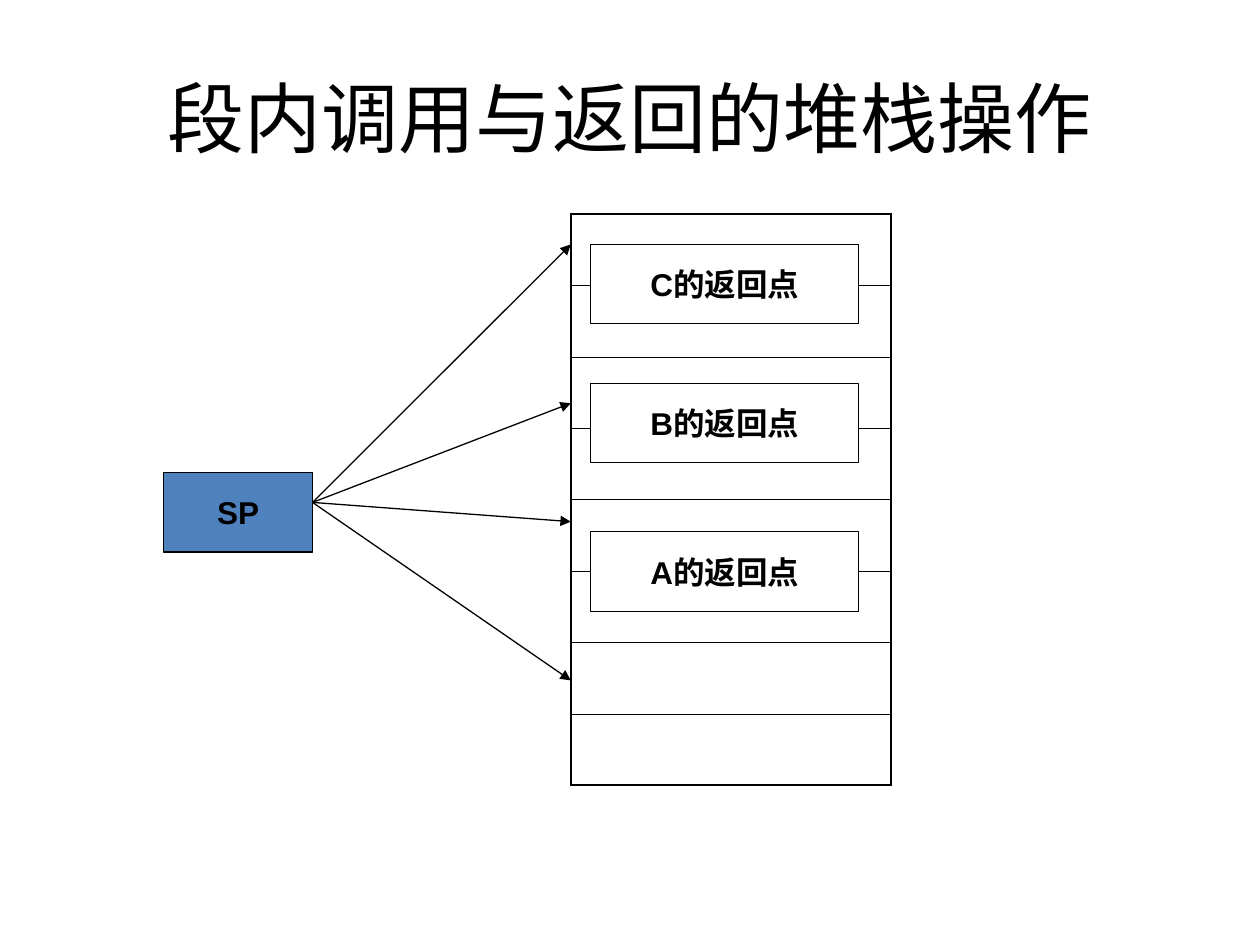
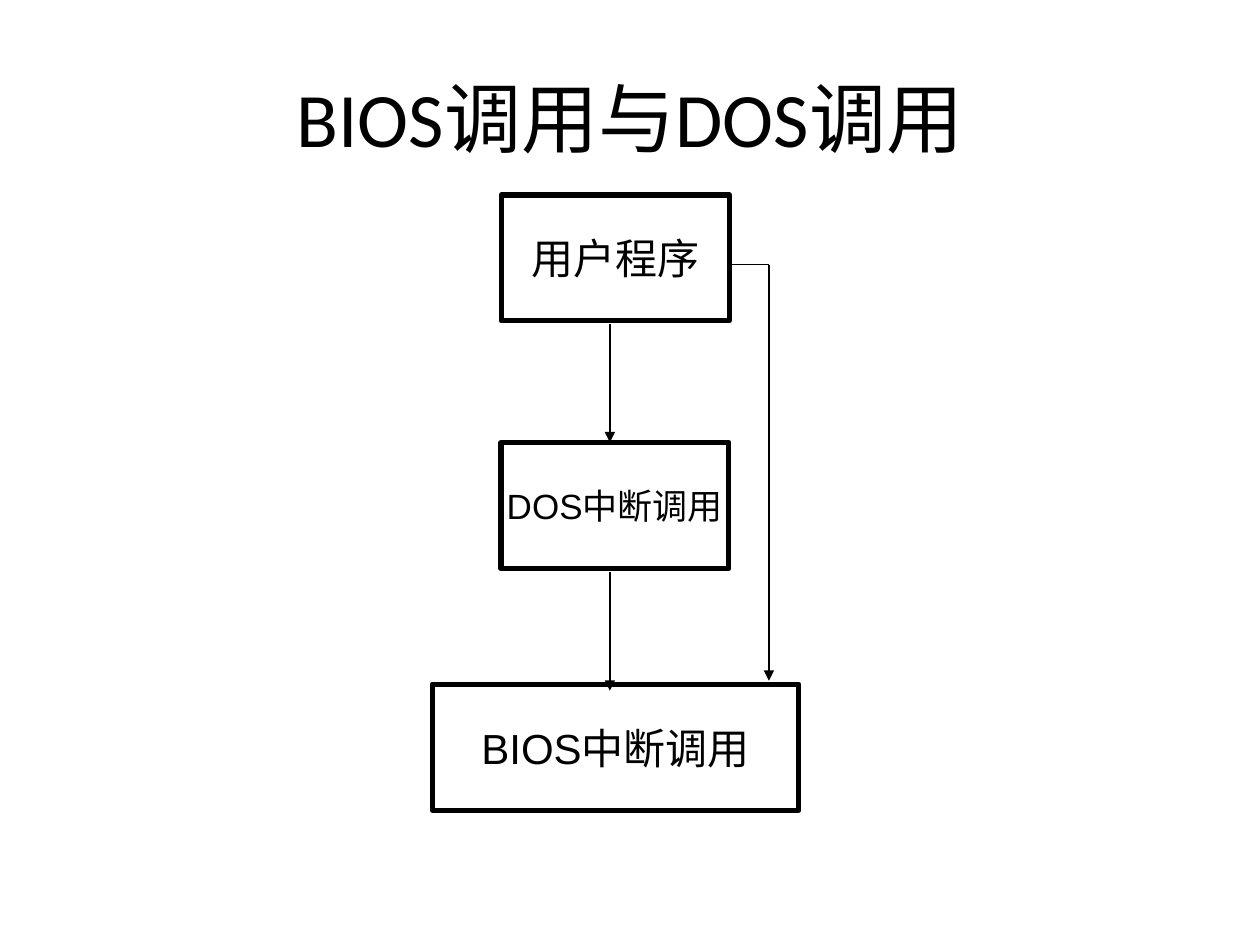
from lxml.etree import SubElement
from pptx import Presentation
from pptx.dml.color import RGBColor
from pptx.enum.shapes import MSO_CONNECTOR, MSO_SHAPE
from pptx.enum.text import MSO_ANCHOR, PP_ALIGN
from pptx.oxml import parse_xml
from pptx.oxml.ns import nsdecls, qn
from pptx.util import Pt

COLORS = {"ink": "000000", "paper": "FFFFFF", "pointer": "4F81BD"}
INK = RGBColor.from_string(COLORS["ink"])
THIN, THICK = 0.74, 3


def add_box(slide, label, left, top, width, height, size, fill=None, line=THIN, bold=False):
    box = slide.shapes.add_shape(MSO_SHAPE.RECTANGLE, Pt(left), Pt(top), Pt(width), Pt(height))
    box.shadow.inherit = False
    if fill:
        box.fill.solid()
        box.fill.fore_color.rgb = RGBColor.from_string(COLORS[fill])
    else:
        box.fill.background()
    box.line.color.rgb = INK
    box.line.width = Pt(line)
    frame = box.text_frame
    frame.word_wrap = False
    frame.vertical_anchor = MSO_ANCHOR.MIDDLE
    frame.text = label
    paragraph = frame.paragraphs[0]
    paragraph.alignment = PP_ALIGN.CENTER
    font = paragraph.runs[0].font
    font.name, font.size, font.bold = "Arial", Pt(size), bold
    font.color.rgb = INK


def add_line(slide, start, end, arrow=True):
    points = [Pt(value) for value in (*start, *end)]
    connector = slide.shapes.add_connector(MSO_CONNECTOR.STRAIGHT, *points)
    connector.line.color.rgb = INK
    connector.line.width = Pt(THIN)
    if arrow:
        SubElement(connector.line._get_or_add_ln(), qn("a:tailEnd"), type="triangle")
    SubElement(connector._element.spPr, qn("a:effectLst"))


deck = Presentation()
deck.slide_width, deck.slide_height = Pt(720), Pt(540)

slides = []
for heading in ("段内调用与返回的堆栈操作", "BIOS调用与DOS调用"):
    slide = deck.slides.add_slide(deck.slide_layouts[5])
    title = slide.shapes.title
    title.left, title.top, title.width, title.height = Pt(36), Pt(21.6), Pt(648), Pt(90)
    title.text_frame.text = heading
    title.text_frame.vertical_anchor = MSO_ANCHOR.MIDDLE
    paragraph = title.text_frame.paragraphs[0]
    paragraph.alignment = PP_ALIGN.CENTER
    font = paragraph.runs[0].font
    font.name, font.size = "Calibri", Pt(44)
    font.color.rgb = INK
    slides.append(slide)
stack_slide, call_slide = slides

add_box(stack_slide, "SP", 93.6, 270, 85, 45.4, 18, fill="pointer", bold=True)

STACK_LEFT, STACK_TOP, STACK_WIDTH = 326.2, 122.4, 183
ROWS, ROW_HEIGHT = 8, 40.8
stack = stack_slide.shapes.add_table(
    ROWS, 1, Pt(STACK_LEFT), Pt(STACK_TOP), Pt(STACK_WIDTH), Pt(ROWS * ROW_HEIGHT)).table
stack.first_row = stack.horz_banding = False
for index, row in enumerate(stack.rows):
    row.height = Pt(ROW_HEIGHT)
    cell = row.cells[0]
    cell.fill.background()
    borders = {"lnL": 1.08, "lnR": 1.08,
               "lnT": 1.08 if index == 0 else 0.45,
               "lnB": 1.08 if index == ROWS - 1 else 0.45}
    for position, (side, width) in enumerate(borders.items()):
        cell._tc.get_or_add_tcPr().insert(position, parse_xml(
            f'<a:{side} {nsdecls("a")} w="{Pt(width)}"><a:solidFill>'
            f'<a:srgbClr val="{COLORS["ink"]}"/></a:solidFill></a:{side}>'))

for target in (388.8, 298.1, 230.4, 139.7):
    add_line(stack_slide, (178.6, 287.1), (STACK_LEFT, target))

for caller, top in (("A", 303.9), ("B", 219), ("C", 139.7)):
    add_box(stack_slide, f"{caller}的返回点", 337.5, top, 153.2, 45.4, 18,
            fill="paper", bold=True)

for label, left, top, width, size in (
        ("DOS中断调用", 286.2, 252.9, 130.3, 20),
        ("用户程序", 286.4, 111.4, 130.3, 24),
        ("BIOS中断调用", 247, 391, 209.5, 24)):
    add_box(call_slide, label, left, top, width, 72, size, line=THICK)

for top in (185, 326.9):
    add_line(call_slide, (348.5, top), (348.5, top + 67.8))
BYPASS_X, BYPASS_TOP = 439.4, 151.2
add_line(call_slide, (416.9, BYPASS_TOP), (BYPASS_X, BYPASS_TOP), arrow=False)
add_line(call_slide, (BYPASS_X, BYPASS_TOP), (BYPASS_X, 389))

deck.save("out.pptx")
